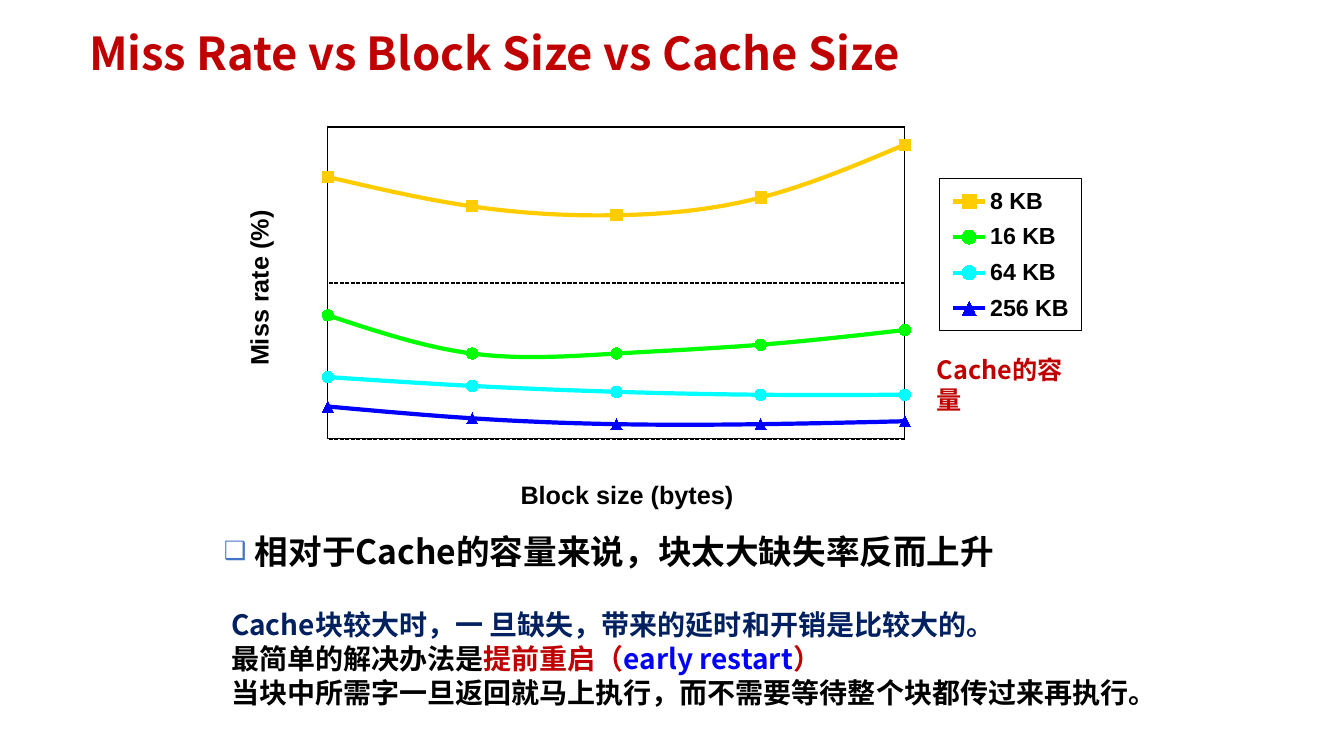
from lxml import etree
from pptx import Presentation
from pptx.chart.data import CategoryChartData as Data
from pptx.dml.color import RGBColor
from pptx.enum.chart import XL_CHART_TYPE as Kind, XL_LEGEND_POSITION as Side, XL_MARKER_STYLE as Mark
from pptx.enum.dml import MSO_LINE as Dash
from pptx.enum.text import MSO_ANCHOR as Anchor, MSO_AUTO_SIZE as Fit, PP_ALIGN as Align
from pptx.oxml import parse_xml
from pptx.oxml.ns import qn
from pptx.util import Emu, Pt

SCALE = 914400 / 100.8
BLACK = RGBColor(0, 0, 0)
RED = RGBColor(0xC0, 0, 0)
NAVY = RGBColor(0, 0x20, 0x60)
BLUE = RGBColor(0, 0, 0xFF)
STEEL = RGBColor(0x44, 0x72, 0xC4)
GOLD = RGBColor(0xFF, 0xCC, 0)
GREEN = RGBColor(0, 0xFF, 0)
CYAN = RGBColor(0, 0xFF, 0xFF)
SANS, ARIAL = "Noto Sans CJK SC", "Arial"
SPACES = ('xmlns:c="http://schemas.openxmlformats.org/drawingml/2006/chart" '
          'xmlns:a="http://schemas.openxmlformats.org/drawingml/2006/main"')


def px(n):
    return Emu(round(n * SCALE))


def write(para, text, size=20, color=BLACK, font=SANS):
    run = para.add_run()
    run.text = text
    face = run.font
    face.size, face.bold, face.name = Pt(size), True, font
    face.color.rgb = color
    east = etree.SubElement(run._r.get_or_add_rPr(), qn("a:ea"))
    east.set("typeface", font)


def place(node, index, box, frame, inner=False):
    for old in node.findall(qn("c:layout")):
        node.remove(old)
    left, top, width, height = frame
    x, y, w, h = box
    parts = [("x", (x - left) / width), ("y", (y - top) / height)]
    if w:
        parts += [("w", w / width), ("h", h / height)]
    target = '<c:layoutTarget val="inner"/>' if inner else ""
    modes = '<c:xMode val="edge"/><c:yMode val="edge"/>'
    sizes = "".join(f'<c:{key} val="{val:.4f}"/>' for key, val in parts)
    node.insert(index, parse_xml(
        f"<c:layout {SPACES}><c:manualLayout>{target}{modes}{sizes}</c:manualLayout></c:layout>"))


def border():
    return parse_xml(f'<c:spPr {SPACES}><a:noFill/><a:ln w="9525"><a:solidFill>'
                     '<a:srgbClr val="000000"/></a:solidFill></a:ln></c:spPr>')


class Deck:
    def __init__(self):
        self.prs = Presentation()
        self.prs.slide_width, self.prs.slide_height = px(1344), px(756)
        self.slide = self.prs.slides.add_slide(self.prs.slide_layouts[1])

    def fill(self, shape, box, lines, anchor=Anchor.TOP, inset=(10, 5),
             first=0, hang=0, space=1, **style):
        shape.left, shape.top, shape.width, shape.height = map(px, box)
        frame = shape.text_frame
        frame.word_wrap, frame.auto_size = True, Fit.NONE
        frame.vertical_anchor = anchor
        frame.margin_left = frame.margin_right = px(inset[0])
        frame.margin_top = frame.margin_bottom = px(inset[1])
        for i, runs in enumerate(lines):
            para = frame.add_paragraph() if i else frame.paragraphs[0]
            para.alignment, para.line_spacing = Align.LEFT, space
            para.space_before = Pt(0)
            props = para._p.get_or_add_pPr()
            props.set("marL", str(px(hang)))
            props.set("indent", str(px(first)))
            for text, color in runs:
                write(para, text, color=color, **style)
        return frame

    def title(self, box, text):
        self.fill(self.slide.shapes.title, box, [[(text, RED)]],
                  anchor=Anchor.MIDDLE, space=0.9, size=32.4)

    def bullet(self, box, text):
        frame = self.fill(self.slide.placeholders[1], box, [[(text, BLACK)]],
                          inset=(7, 3), first=-31, hang=31, size=24)
        props = frame.paragraphs[0]._p.get_or_add_pPr()
        tint = etree.SubElement(props, qn("a:buClr"))
        etree.SubElement(tint, qn("a:srgbClr")).set("val", str(STEEL))
        etree.SubElement(props, qn("a:buSzPct")).set("val", "75000")
        etree.SubElement(props, qn("a:buChar")).set("char", "❑")

    def text(self, box, lines, **style):
        shape = self.slide.shapes.add_textbox(*map(px, box))
        self.fill(shape, box, lines, **style)

    def chart(self, box, plot, key, names, rows):
        data = Data()
        data.categories = ["1", "2", "3", "4", "5"]
        for name, vals, *_ in rows:
            data.add_series(name, vals)
        chart = self.slide.shapes.add_chart(Kind.LINE_MARKERS, *map(px, box), data).chart
        chart.has_title = False
        chart.font.size, chart.font.bold, chart.font.name = Pt(18), True, ARIAL
        chart.font.color.rgb = BLACK
        chart.plots[0].vary_by_categories = False
        for line, (_, _, color, mark) in zip(chart.plots[0].series, rows):
            line.smooth = True
            line.format.line.width = Pt(3)
            line.format.line.color.rgb = color
            dot = line.marker
            dot.style, dot.size = mark, 8
            dot.format.fill.solid()
            dot.format.fill.fore_color.rgb = color
            dot.format.line.fill.background()
        axes = chart.category_axis, chart.value_axis
        for axis, (name, spot) in zip(axes, names):
            head = axis.axis_title
            write(head.text_frame.paragraphs[0], name, size=18, font=ARIAL)
            place(head._element, 1, spot, box)
            axis.visible = False
        rate = chart.value_axis
        rate.axis_title.text_frame._txBody.bodyPr.set("rot", "-5400000")
        rate.minimum_scale, rate.maximum_scale, rate.major_unit = 0, 106, 53
        grid = rate.major_gridlines.format.line
        grid.color.rgb, grid.width, grid.dash_style = BLACK, Pt(1), Dash.SQUARE_DOT
        node = rate._element
        for old in node.findall(qn("c:crossBetween")):
            node.remove(old)
        node.find(qn("c:crosses")).addnext(
            parse_xml(f'<c:crossBetween {SPACES} val="midCat"/>'))
        area = chart._chartSpace.chart.plotArea
        place(area, 0, plot, box, inner=True)
        area.append(border())
        chart.has_legend = True
        legend = chart.legend
        legend.position, legend.include_in_layout = Side.RIGHT, True
        face = legend.font
        face.size, face.bold, face.name = Pt(16.6), True, ARIAL
        face.color.rgb = BLACK
        place(legend._element, 1, key, box)
        legend._element.find(qn("c:txPr")).addprevious(border())


deck = Deck()
deck.title((79, 33, 1199, 46), "Miss Rate vs Block Size vs Cache Size")
deck.chart(
    (217, 94, 871, 468), (328, 127, 577, 312), (940, 179, 142, 152),
    [("Block size (bytes)", (516, 474, 0, 0)), ("Miss rate (%)", (238, 206, 0, 0))],
    [("8 KB", (89, 79, 76, 82, 100), GOLD, Mark.SQUARE),
     ("16 KB", (42, 29, 29, 32, 37), GREEN, Mark.CIRCLE),
     ("64 KB", (21, 18, 16, 15, 15), CYAN, Mark.CIRCLE),
     ("256 KB", (11, 7, 5, 5, 6), BLUE, Mark.TRIANGLE)])
deck.bullet((217, 528, 924, 46), "相对于Cache的容量来说，块太大缺失率反而上升")
deck.text((173, 603, 1049, 112), [
    [("Cache块较大时，一 旦缺失，带来的延时和开销是比较大的。", NAVY)],
    [("最简单的解决办法是", BLACK), ("提前重启（", RED), ("early restart", BLUE), ("）", RED)],
    [("当块中所需字一旦返回就马上执行，而不需要等待整个块都传过来再执行。", BLACK)]],
    first=48)
deck.text((927, 349, 159, 40), [[("Cache的容量", RED)]], size=18)
deck.prs.save("out.pptx")
